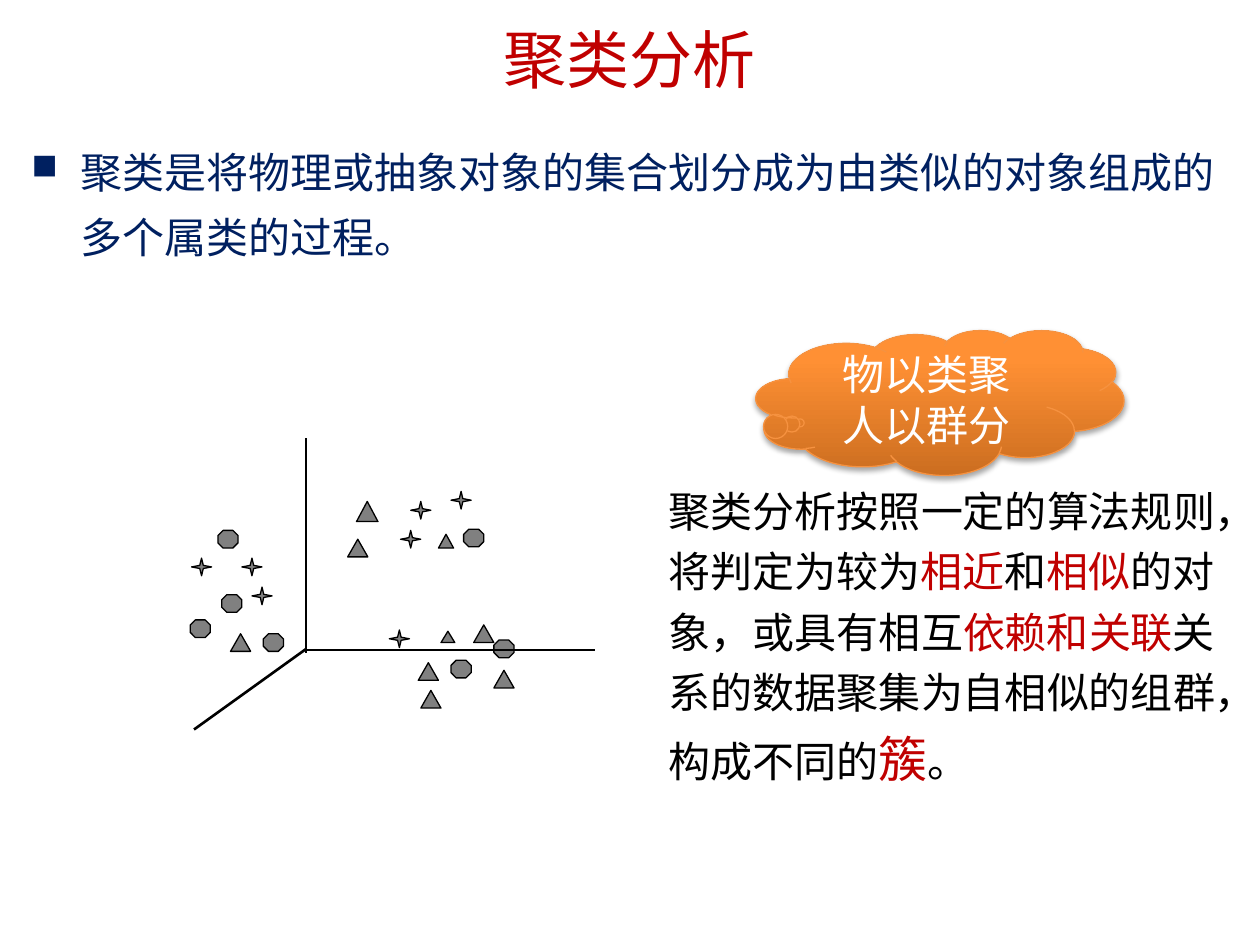
from lxml.etree import SubElement
from pptx import Presentation
from pptx.dml.color import RGBColor
from pptx.enum.shapes import MSO_CONNECTOR, MSO_SHAPE
from pptx.enum.text import MSO_ANCHOR, MSO_AUTO_SIZE, PP_ALIGN
from pptx.oxml import parse_xml
from pptx.oxml.ns import nsdecls, qn
from pptx.util import Inches, Pt

COLUMNS, ROWS = 100, 75
WIDTH, HEIGHT = Inches(10), Inches(7.5)
LATIN, CHINESE = "Times New Roman", "Noto Sans CJK SC"
COLORS = {
    "red": "C00000", "navy": "002060", "black": "000000", "white": "FFFFFF",
    "marker": "808080", "cloud_edge": "F69240",
    "cloud_low": "CC6E20", "cloud_high": "FF9034", "cloud_top": "FF9136",
}
MARKERS = {
    MSO_SHAPE.FLOWCHART_EXTRACT: [
        (34.8, 42.4, 1.2, 1.1), (18.3, 50.3), (27.6, 42.8), (28.3, 39.8, 1.7, 1.6),
        (33.2, 52.6), (35, 50.1, 1.1, 0.9), (37.6, 49.6), (39.2, 53.2), (33.4, 54.8)],
    MSO_SHAPE.STAR_4_POINT: [
        (19.2, 44.3), (31.8, 42.1), (30.9, 50), (35.8, 39), (32.6, 39.8),
        (15.2, 44.3), (20, 46.6)],
    MSO_SHAPE.OCTAGON: [
        (36.8, 42), (35.8, 52.4), (17.6, 47.2), (15.1, 49.2), (39.2, 50.8),
        (20.9, 50.3), (17.3, 42.1)],
}
AXES = [((15.4, 57.9), (24.3, 51.5)), ((24.3, 34.8), (24.3, 51.8)),
        ((24.3, 51.6), (47.2, 51.6))]


def col(count):
    """Return the width of a number of grid columns."""
    return round(WIDTH * count / COLUMNS)


def row(count):
    """Return the height of a number of grid rows."""
    return round(HEIGHT * count / ROWS)


def place(left, top, width, height):
    """Turn a grid cell range into slide lengths."""
    return col(left), row(top), col(width), row(height)


def rgb(name):
    """Look up a named colour."""
    return RGBColor.from_string(COLORS[name])


def apply(target, values):
    """Set each named attribute on the target."""
    for name, value in values.items():
        setattr(target, name, value)


def add_runs(paragraph, runs, font, **layout):
    """Write (text, colour, size) runs into a paragraph."""
    apply(paragraph, layout)
    for wording, color, size in runs:
        run = paragraph.add_run()
        apply(run, {"text": wording})
        apply(run.font, {"name": font, "size": Pt(size)})
        run.font.color.rgb = rgb(color)
        SubElement(run.font._element, qn("a:ea"), typeface=CHINESE)


def add_text(slide, area, **frame):
    """Add a wrapping text box and return its first paragraph."""
    text_frame = slide.shapes.add_textbox(*place(*area)).text_frame
    apply(text_frame, {"word_wrap": True, **frame})
    return text_frame.paragraphs[0]


def add_square_bullet(paragraph):
    """Give a paragraph a hanging square bullet."""
    properties = paragraph._p.get_or_add_pPr()
    apply_indent = {"marL": col(3.9), "indent": -col(3.9)}
    for name, value in apply_indent.items():
        properties.set(name, str(value))
    SubElement(properties, qn("a:buSzPct"), val="85000")
    SubElement(properties, qn("a:buChar"), char="■")


def add_marker(slide, kind, left, top, width=1.6, height=1.4):
    """Add one data point of the scatter."""
    marker = slide.shapes.add_shape(kind, *place(left, top, width, height))
    marker.shadow.inherit = False
    marker.fill.solid()
    marker.fill.fore_color.rgb = rgb("marker")
    marker.line.color.rgb = rgb("black")
    marker.line.width = Pt(0.75)


def add_axis(slide, start, end):
    """Add one axis of the scatter."""
    axis = slide.shapes.add_connector(
        MSO_CONNECTOR.STRAIGHT, col(start[0]), row(start[1]), col(end[0]), row(end[1]))
    axis.line.color.rgb = rgb("black")
    axis.line.width = Pt(1.5)
    SubElement(axis._element.spPr, qn("a:effectLst"))


def add_cloud(slide, area, lines):
    """Add the shaded thought cloud with its motto."""
    cloud = slide.shapes.add_shape(MSO_SHAPE.CLOUD_CALLOUT, *place(*area))
    cloud.adjustments[0], cloud.adjustments[1] = -0.38, 0.14
    cloud.line.color.rgb = rgb("cloud_edge")
    cloud.line.width = Pt(0.75)
    stops = "".join(
        f'<a:gs pos="{share * 1000}"><a:srgbClr val="{COLORS[name]}"/></a:gs>'
        for share, name in [(0, "cloud_low"), (80, "cloud_high"), (100, "cloud_top")])
    properties = cloud._element.spPr
    properties.find(qn("a:prstGeom")).addnext(parse_xml(
        f'<a:gradFill {nsdecls("a")} rotWithShape="1"><a:gsLst>{stops}</a:gsLst>'
        '<a:lin ang="16200000" scaled="0"/></a:gradFill>'))
    properties.append(parse_xml(
        f'<a:effectLst {nsdecls("a")}><a:outerShdw blurRad="{Pt(3.1)}" dist="{Pt(1.8)}" '
        f'dir="5400000" rotWithShape="0"><a:srgbClr val="{COLORS["black"]}">'
        '<a:alpha val="35000"/></a:srgbClr></a:outerShdw></a:effectLst>'))
    motto = cloud.text_frame
    motto.vertical_anchor = MSO_ANCHOR.MIDDLE
    for index, wording in enumerate(lines):
        paragraph = motto.add_paragraph() if index else motto.paragraphs[0]
        add_runs(paragraph, [(wording, "white", 24)], CHINESE, alignment=PP_ALIGN.CENTER)


def main():
    """Build the cluster analysis slide."""
    deck = Presentation()
    apply(deck, {"slide_width": WIDTH, "slide_height": HEIGHT})
    slide = deck.slides.add_slide(deck.slide_layouts[6])

    title = add_text(slide, (0, 0, 100, 8.9), vertical_anchor=MSO_ANCHOR.MIDDLE,
                     margin_top=row(1.6))
    add_runs(title, [("聚类分析", "red", 36)], LATIN,
             alignment=PP_ALIGN.CENTER, line_spacing=0.9)

    definition = add_text(slide, (1.5, 9.9, 97.2, 61.7))
    add_square_bullet(definition)
    add_runs(definition,
             [("聚类是将物理或抽象对象的集合划分成为由类似的对象组成的多个属类的过程。", "navy", 24)],
             LATIN, line_spacing=1.3)

    for kind, spots in MARKERS.items():
        for spot in spots:
            add_marker(slide, kind, *spot)

    explanation = add_text(slide, (53.1, 37.7, 45.3, 25), margin_left=0, margin_top=0,
                           margin_right=0, margin_bottom=0,
                           auto_size=MSO_AUTO_SIZE.SHAPE_TO_FIT_TEXT)
    add_runs(explanation, [
        ("聚类分析按照一定的算法规则，将判定为较为", "black", 24), ("相近", "red", 24),
        ("和", "black", 24), ("相似", "red", 24),
        ("的对象，或具有相互", "black", 24), ("依赖和关联", "red", 24),
        ("关系的数据聚集为自相似的组群，构成不同的", "black", 24),
        ("簇", "red", 28), ("。", "black", 24)], CHINESE, line_spacing=1.2)

    for start, end in AXES:
        add_axis(slide, start, end)
    add_cloud(slide, (60, 26.2, 29.2, 11.5), ["物以类聚", "人以群分"])
    deck.save("out.pptx")


if __name__ == "__main__":
    main()
